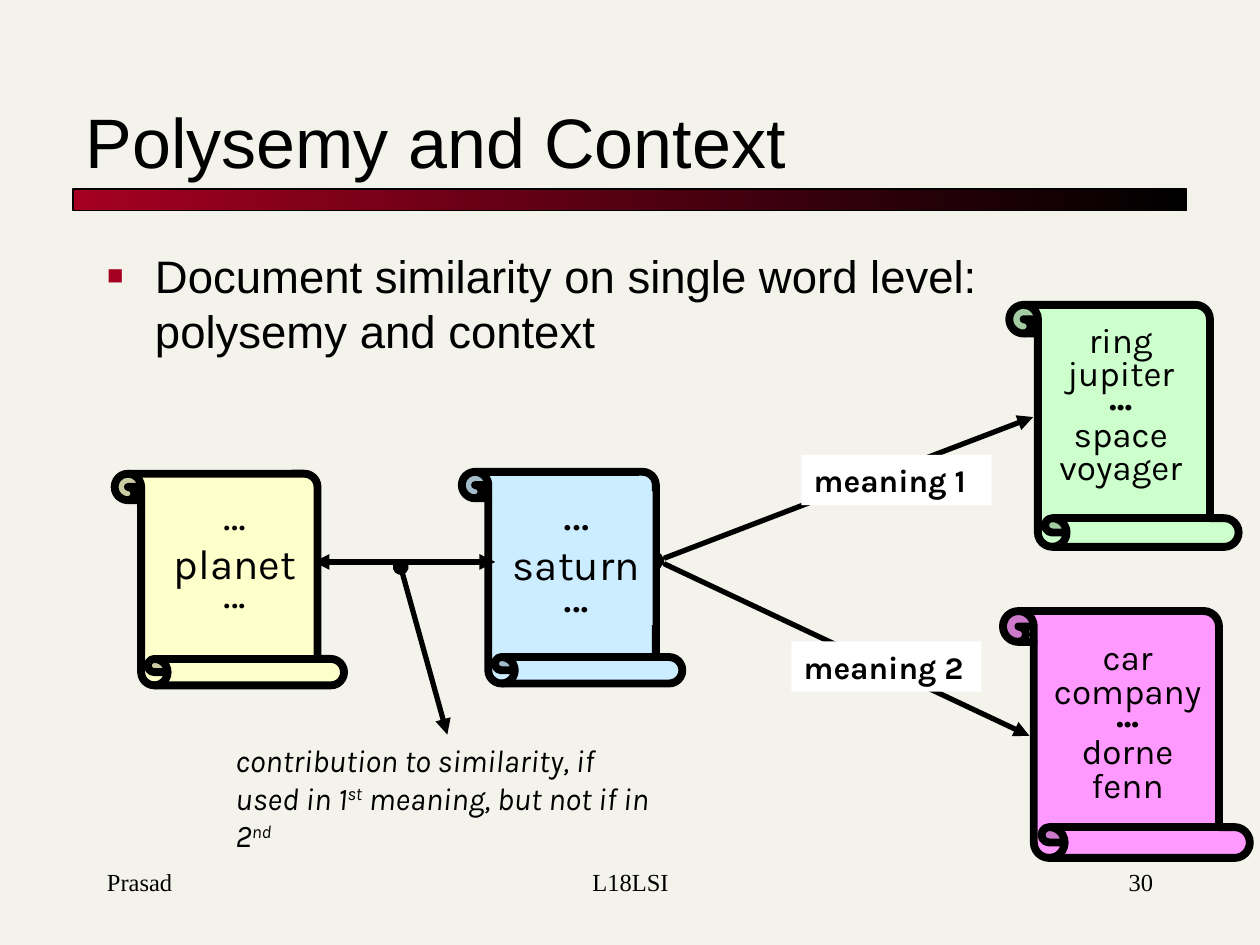
from lxml.etree import SubElement
from pptx import Presentation
from pptx.dml.color import RGBColor
from pptx.enum.shapes import MSO_CONNECTOR as Connector, MSO_SHAPE as Shape
from pptx.enum.text import MSO_ANCHOR as Anchor, MSO_AUTO_SIZE as AutoSize, PP_ALIGN as Align
from pptx.oxml.ns import qn
from pptx.util import Inches, Pt

BLACK = RGBColor(0x00, 0x00, 0x00)
WHITE = RGBColor(0xFF, 0xFF, 0xFF)
CREAM = RGBColor(0xF4, 0xF3, 0xEB)
CRIMSON = RGBColor(0xA5, 0x00, 0x21)
PINK = RGBColor(0xFF, 0x99, 0xFF)
GREEN = RGBColor(0xCC, 0xFF, 0xCC)
BLUE = RGBColor(0xCC, 0xEC, 0xFF)
YELLOW = RGBColor(0xFF, 0xFF, 0xCC)


def inches(*lengths):
    """Turn plain numbers into lengths."""
    return [Inches(length) for length in lengths]


def style(para, size, name="Karla", align=Align.LEFT, spacing=None, bold=None, italic=None):
    """Set the font and layout of one paragraph."""
    para.alignment = align
    para.space_before = Pt(0)
    if spacing:
        para.line_spacing = spacing
    font = para.font
    font.size, font.name, font.bold, font.italic = Pt(size), name, bold, italic
    font.color.rgb = BLACK


def fill_placeholder(holder, at, text, size, anchor):
    """Move a placeholder, write its text and return the paragraph."""
    holder.left, holder.top, holder.width, holder.height = inches(*at)
    frame = holder.text_frame
    frame.auto_size = AutoSize.NONE
    frame.vertical_anchor = anchor
    frame.text = text
    return frame.paragraphs[0]


def add_bullet(para):
    """Give a paragraph a small crimson square and a hanging indent."""
    props = para._p.get_or_add_pPr()
    props.set("marL", str(Inches(0.38)))
    props.set("indent", str(Inches(-0.38)))
    color = SubElement(props, qn("a:buClr"))
    SubElement(color, qn("a:srgbClr"), val=str(CRIMSON))
    SubElement(props, qn("a:buSzPct"), val="60000")
    SubElement(props, qn("a:buFont"), typeface="Arial")
    SubElement(props, qn("a:buChar"), char="■")


def add_rule(page):
    """Draw the gradient bar under the title."""
    bar = page.shapes.add_shape(Shape.RECTANGLE, *inches(0.58, 1.5, 8.84, 0.17))
    bar.shadow.inherit = False
    bar.fill.gradient()
    bar.fill.gradient_angle = 0
    for stop, position, color in zip(bar.fill.gradient_stops, (0, 1), (CRIMSON, BLACK)):
        stop.position = position
        stop.color.rgb = color
    bar.line.color.rgb = BLACK
    bar.line.width = Pt(0.75)


def add_scroll(page, at, color):
    """Draw an upright paper scroll."""
    scroll = page.shapes.add_shape(Shape.HORIZONTAL_SCROLL, *inches(*at))
    scroll.shadow.inherit = False
    scroll.rotation = 90
    xfrm = scroll.element.spPr.xfrm
    xfrm.set("flipH", "1")
    xfrm.set("flipV", "1")
    scroll.fill.solid()
    scroll.fill.fore_color.rgb = color
    scroll.line.color.rgb = BLACK
    scroll.line.width = Pt(4.5)


def add_text(page, at, lines, wrap=False, fill=None, **looks):
    """Add a text box from (text, size, line spacing) rows."""
    box = page.shapes.add_textbox(*inches(*at))
    if fill is not None:
        box.fill.solid()
        box.fill.fore_color.rgb = fill
    frame = box.text_frame
    frame.word_wrap = wrap
    for index, (text, size, spacing) in enumerate(lines):
        para = frame.add_paragraph() if index else frame.paragraphs[0]
        para.text = text
        style(para, size, spacing=spacing, **looks)
    return frame


def add_words(page, at, words):
    """Add the centred word list of a meaning."""
    rows = [(word, 16 if word == "•••" else 20, 0.8) for word in words]
    add_text(page, at, rows, align=Align.CENTER)


def add_term(page, at, word, dots_size, fill=None):
    """Add a centred term between two rows of dots."""
    rows = [("…", dots_size, 0.7), (word, 24, None), ("...", dots_size, 0.5)]
    add_text(page, at, rows, fill=fill, align=Align.CENTER)


def add_arrow(page, start, end, head, tail):
    """Draw a straight line with a marker at each end."""
    arrow = page.shapes.add_connector(Connector.STRAIGHT, *inches(*start, *end))
    arrow.line.color.rgb = BLACK
    arrow.line.width = Pt(3)
    outline = arrow.line._get_or_add_ln()
    SubElement(outline, qn("a:headEnd"), type=head)
    SubElement(outline, qn("a:tailEnd"), type=tail)
    SubElement(arrow.element.spPr, qn("a:effectLst"))


def add_note(page):
    """Add the italic note with raised ordinal endings."""
    frame = add_text(page, (1.77, 5.83, 3.56, 1), [("", 18, None)], wrap=True, italic=True)
    para = frame.paragraphs[0]
    pieces = ["contribution to similarity, if used in 1", "st", " meaning, but not if in 2", "nd"]
    for index, text in enumerate(pieces):
        span = para.add_run()
        span.text = text
        if index % 2:
            span._r.get_or_add_rPr().set("baseline", "30000")


def main():
    """Build the slide and save it."""
    deck = Presentation()
    deck.slide_width, deck.slide_height = inches(10, 7.5)
    page = deck.slides.add_slide(deck.slide_layouts[1])
    page.background.fill.solid()
    page.background.fill.fore_color.rgb = CREAM

    add_rule(page)
    title, body = page.placeholders
    para = fill_placeholder(title, (0.58, 0.42, 8.83, 1.08), "Polysemy and Context", 40, Anchor.BOTTOM)
    style(para, 40, "Arial")
    para = fill_placeholder(body, (0.75, 1.92, 8.5, 5.33),
                            "Document similarity on single word level: polysemy and context",
                            26, Anchor.TOP)
    add_bullet(para)
    style(para, 26, "Arial")

    meanings = [
        ("meaning 2", (6.28, 5.09, 1.51, 0.4), (8.17, 5.84), (7.96, 4.85, 1.96, 1.96), PINK,
         (8.25, 5.06, 1.4, 1.38), ["car", "company", "•••", "dorne", "fenn"]),
        ("meaning 1", (6.36, 3.61, 1.51, 0.4), (8.2, 3.31), (7.96, 2.47, 1.92, 1.82), GREEN,
         (8.27, 2.54, 1.25, 1.38), ["ring", "jupiter", "•••", "space", "voyager"]),
    ]
    for label, label_at, tip, scroll_at, color, words_at, words in meanings:
        add_scroll(page, scroll_at, color)
        add_words(page, words_at, words)
        add_arrow(page, (5.22, 4.45), tip, "diamond", "triangle")
        add_text(page, label_at, [(label, 18, None)], fill=WHITE, bold=True)

    add_scroll(page, (3.7, 3.71, 1.68, 1.75), BLUE)
    add_term(page, (3.97, 3.9, 1.21, 1.06), "saturn", 28, BLUE)
    add_scroll(page, (0.98, 3.69, 1.68, 1.82), YELLOW)
    add_term(page, (1.27, 3.94, 1.19, 0.98), "planet", 24)
    add_arrow(page, (2.49, 4.46), (3.93, 4.46), "triangle", "triangle")
    add_note(page)
    add_arrow(page, (3.55, 5.83), (3.18, 4.5), "triangle", "oval")

    footers = [("Prasad", 0.75, 2.08, Align.LEFT), ("30", 7.17, 2.08, Align.RIGHT),
               ("L18LSI", 3.42, 3.17, Align.CENTER)]
    for text, left, width, align in footers:
        add_text(page, (left, 6.83, width, 0.5), [(text, 14, None)], wrap=True,
                 name="Times New Roman", align=align)
    deck.save("out.pptx")


if __name__ == "__main__":
    main()
